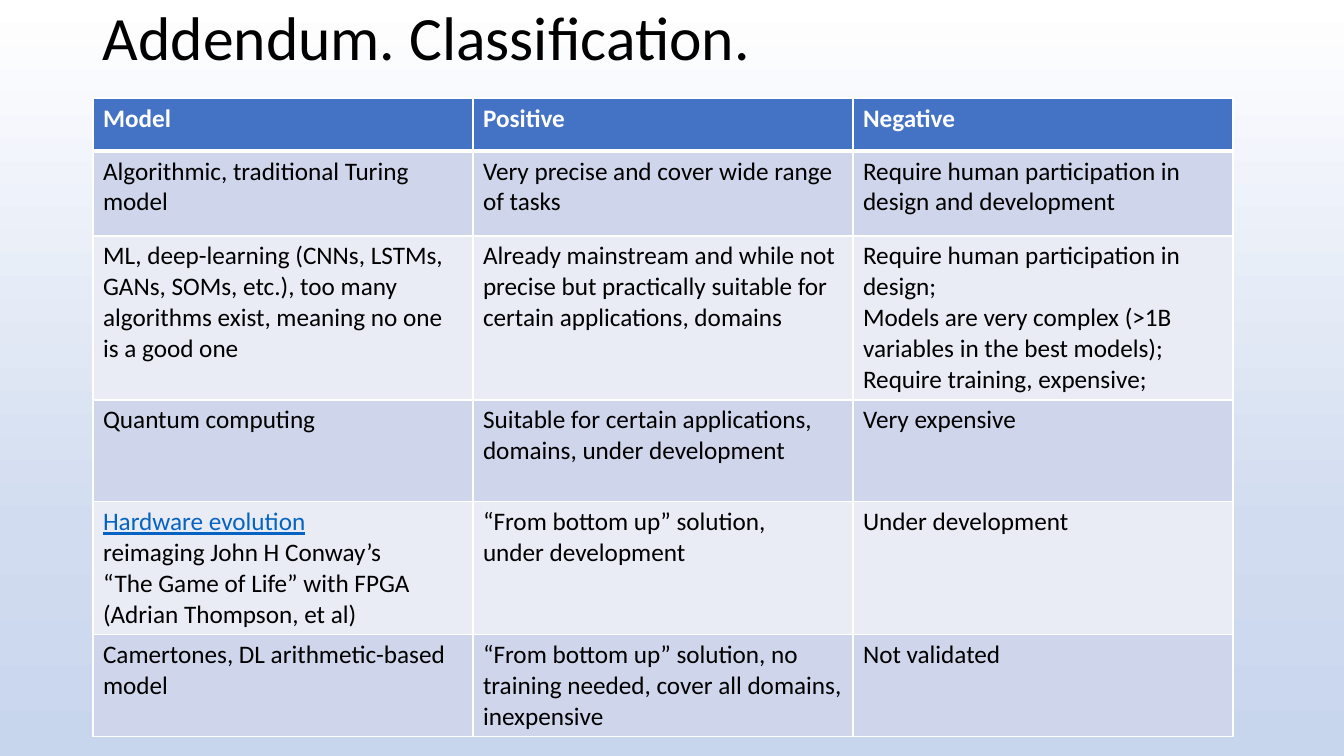
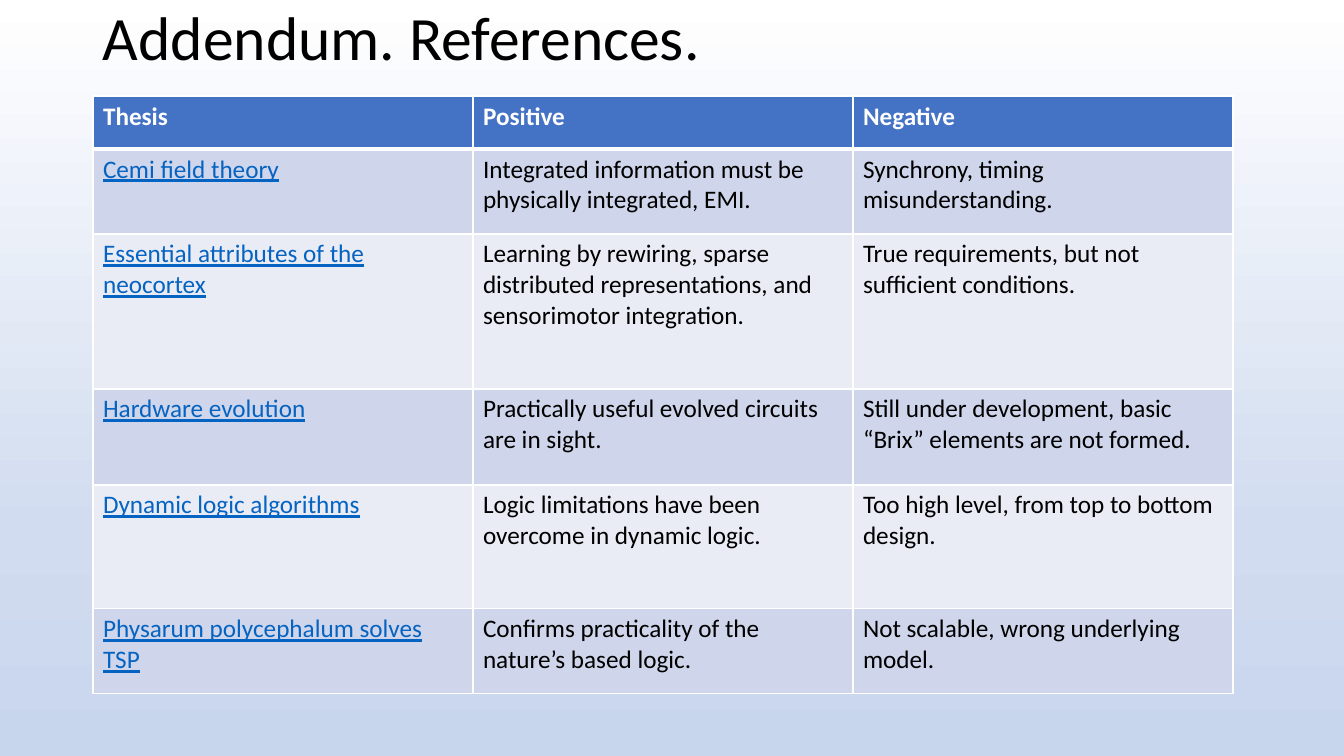
from copy import deepcopy

from lxml import etree
from pptx import Presentation
from pptx import util as u
from pptx.dml.color import RGBColor
from pptx.enum import text
from pptx.oxml.ns import qn

WHITE, BLACK, LINK = "FFFFFF", "000000", "0563C1"
HEADER, BANDS = "4472C4", ("E9EBF5", "CFD5EA")
BACKDROP = [(0, WHITE), (0.7, "D1DCF0"), (1, "C7D5ED")]
FONT = "Calibri"
LEFT, COL_W = 93, 380
TITLE_FORMAT = {"name": FONT, "size": u.Pt(44)}
HEADER_FORMAT = {"name": FONT, "size": u.Pt(18), "bold": True}
BODY_FORMAT = {"name": FONT, "size": u.Pt(18), "bold": False}

# In cells, "\n" starts a paragraph and "\v" breaks a line.
SLIDES = [
    {
        "title": "Addendum. Classification.",
        "top": 98,
        "heights": [53, 85, 164, 102, 133, 102],
        "links": {"Hardware evolution"},
        "rows": [
            ("Model", "Positive", "Negative"),
            ("Algorithmic, traditional Turing model",
             "Very precise and cover wide range of tasks",
             "Require human participation in design and development"),
            ("ML, deep-learning (CNNs, LSTMs, GANs, SOMs, etc.), too many "
             "algorithms exist, meaning no one is a good one",
             "Already mainstream and while not precise but practically "
             "suitable for certain applications, domains",
             "Require human participation in design;\vModels are very complex "
             "(>1B variables in the best models);\nRequire training, expensive;"),
            ("Quantum computing",
             "Suitable for certain applications, domains, under development",
             "Very expensive"),
            ("Hardware evolution\vreimaging John H Conway’s\n"
             "“The Game of Life” with FPGA\v(Adrian Thompson, et al)",
             "“From bottom up” solution,\vunder development",
             "Under development"),
            ("Camertones, DL arithmetic-based model",
             "“From bottom up” solution, no training needed, cover all "
             "domains, inexpensive",
             "Not validated"),
        ],
    },
    {
        "title": "Addendum. References.",
        "top": 96,
        "heights": [53, 85, 155, 96, 124, 85],
        "links": {"Cemi field theory", "Essential attributes of the neocortex",
                  "Hardware evolution", "Dynamic logic algorithms",
                  "Physarum polycephalum solves TSP"},
        "rows": [
            ("Thesis", "Positive", "Negative"),
            ("Cemi field theory",
             "Integrated information must be physically integrated, EMI.",
             "Synchrony, timing misunderstanding."),
            ("Essential attributes of the neocortex",
             "Learning by rewiring, sparse distributed representations, and "
             "sensorimotor integration.",
             "True requirements, but not sufficient conditions."),
            ("Hardware evolution",
             "Practically useful evolved circuits are in sight.",
             "Still under development, basic “Brix” elements are not formed."),
            ("Dynamic logic algorithms",
             "Logic limitations have been overcome in dynamic logic.",
             "Too high level, from top to bottom design."),
            ("Physarum polycephalum solves TSP",
             "Confirms practicality of the nature’s based logic.",
             "Not scalable, wrong underlying model."),
        ],
    },
]


def px(n):
    return u.Emu(round(n * 914400 / 100.8))


def add_run(p, line, color, font_format):
    r = p.add_run()
    r.text = line
    for name, value in font_format.items():
        setattr(r.font, name, value)
    r.font.color.rgb = RGBColor.from_string(color)
    return r


prs = Presentation()
prs.slide_width, prs.slide_height = px(1344), px(756)

# Shared background
master = prs.slide_master
fill = master.background.fill
fill.gradient()
fill.gradient_angle = 270
stop_list = master.element.find(".//" + qn("a:gsLst"))
stop_list.append(deepcopy(stop_list[-1]))
for stop, (position, color) in zip(fill.gradient_stops, BACKDROP):
    stop.position = position
    stop.color.rgb = RGBColor.from_string(color)

for page in SLIDES:
    s = prs.slides.add_slide(prs.slide_layouts[6])

    # Title
    tf = s.shapes.add_textbox(px(LEFT), 0, px(1159), px(82)).text_frame
    tf.word_wrap = True
    tf.vertical_anchor = text.MSO_ANCHOR.MIDDLE
    p = tf.paragraphs[0]
    p.line_spacing = 0.9
    add_run(p, page["title"], BLACK, TITLE_FORMAT)

    # Table
    rows, heights = page["rows"], page["heights"]
    table = s.shapes.add_table(len(rows), 3, px(LEFT), px(page["top"]),
                               px(3 * COL_W), px(sum(heights))).table
    for column in table.columns:
        column.width = px(COL_W)
    for i, (row, height) in enumerate(zip(rows, heights)):
        table.rows[i].height = px(height)
        header = i == 0
        borders = {"L": 1, "R": 1, "T": 3 if i == 1 else 1, "B": 3 if header else 1}
        for j, content in enumerate(row):
            cell = table.cell(i, j)
            tc_pr = cell._tc.get_or_add_tcPr()
            for side, width in borders.items():
                ln = etree.SubElement(tc_pr, qn("a:ln" + side), w=str(u.Pt(width)))
                solid = etree.SubElement(ln, qn("a:solidFill"))
                etree.SubElement(solid, qn("a:srgbClr"), val=WHITE)
            cell.fill.solid()
            cell.fill.fore_color.rgb = RGBColor.from_string(
                HEADER if header else BANDS[i % 2])

            tf = cell.text_frame
            for k, paragraph in enumerate(content.split("\n")):
                p = tf.add_paragraph() if k else tf.paragraphs[0]
                for n, line in enumerate(paragraph.split("\v")):
                    if n:
                        p.add_line_break()
                    if header:
                        add_run(p, line, WHITE, HEADER_FORMAT)
                    elif line in page["links"]:
                        add_run(p, line, LINK, BODY_FORMAT).font.underline = True
                    else:
                        add_run(p, line, BLACK, BODY_FORMAT)

prs.save("out.pptx")
